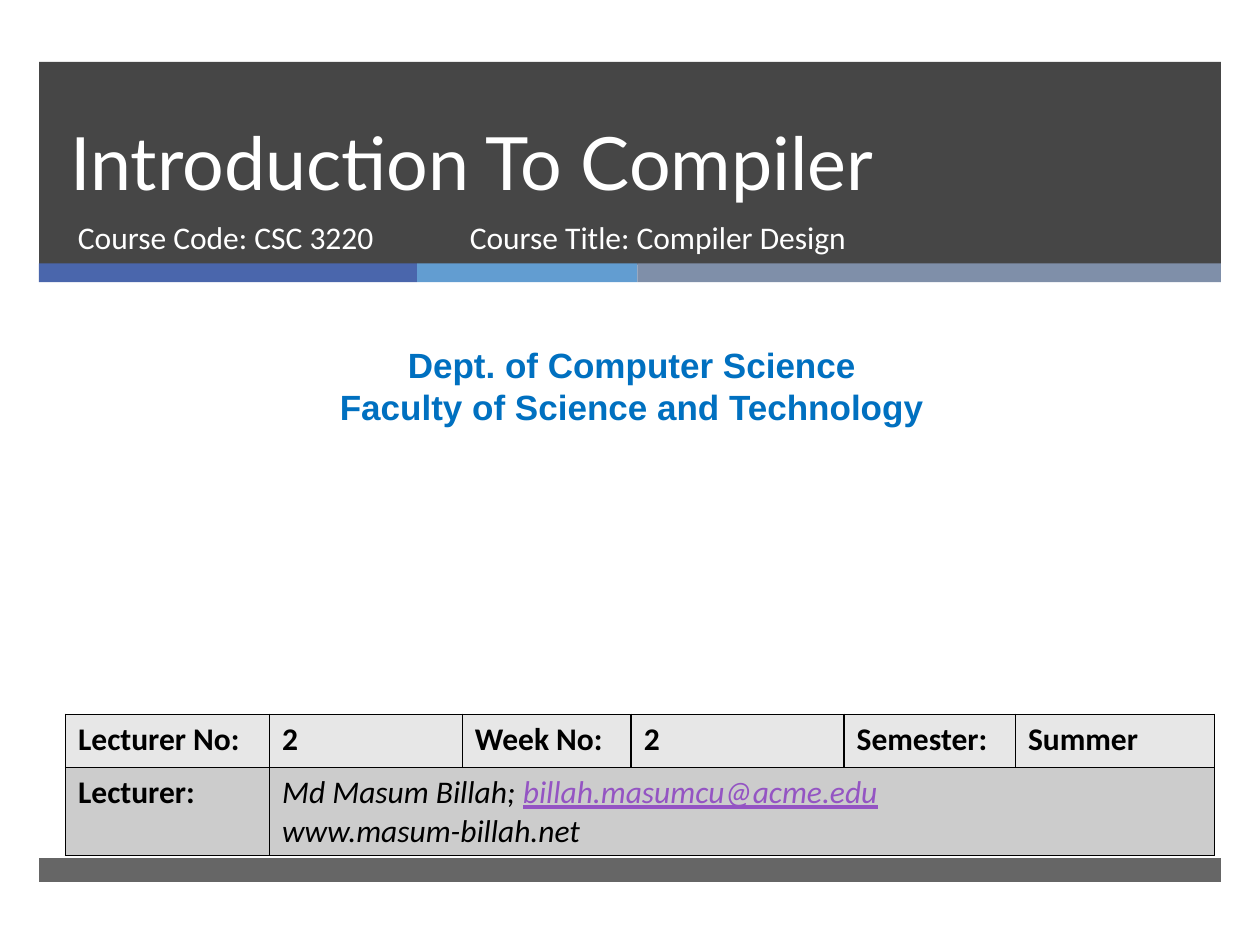
"""Build the title slide of a compiler course."""
from dataclasses import dataclass
from itertools import accumulate

from lxml import etree
from pptx import Presentation
from pptx.dml.color import RGBColor
from pptx.enum.shapes import MSO_SHAPE
from pptx.enum.text import MSO_ANCHOR, PP_ALIGN
from pptx.oxml.ns import qn
from pptx.util import Inches, Pt

RECT = MSO_SHAPE.RECTANGLE
TOP, BOTTOM = MSO_ANCHOR.TOP, MSO_ANCHOR.BOTTOM
LEFT, CENTER = PP_ALIGN.LEFT, PP_ALIGN.CENTER
WIDE, HIGH = Inches(10), Inches(7.5)
COL, ROW = WIDE / 100, HIGH / 75
INK = {
    "dark": "262626", "navy": "4A66AC", "sky": "629DD1", "slate": "7F8FA9",
    "white": "FFFFFF", "blue": "0070C0", "black": "000000",
    "link": "9454C3", "pale": "E7E7E7", "grey": "CCCCCC",
}
EDGE, SPAN = 3.1, 93.8
STRIPS = {"navy": 30, "sky": 17.5, "slate": 46.3}
WIDTHS = (16.2, 15.3, 13.4, 16.9, 13.6, 15.8)
HEIGHTS = (4.2, 7)
HEAD = ("Lecturer No:", "2", "Week No:", "2", "Semester:", "Summer")


@dataclass
class Box:
    """A place on the grid, in columns and rows."""
    x: float
    y: float
    w: float
    h: float

    def emu(self) -> tuple[int, ...]:
        """Give left, top, width and height as slide lengths."""
        return (round(self.x * COL), round(self.y * ROW),
                round(self.w * COL), round(self.h * ROW))


@dataclass
class Bar:
    """A filled band."""
    box: Box
    ink: str
    alpha: int = 100


@dataclass
class Label:
    """A text box with one style."""
    box: Box
    text: str
    size: int = 18
    face: str = "Calibri"
    ink: str = "white"
    bold: bool = False
    align: PP_ALIGN = LEFT
    anchor: MSO_ANCHOR = TOP
    lead: int | None = None


BARS = [
    Bar(Box(EDGE, 4.9, SPAN, 16.1), "dark", 85),
    *(Bar(Box(end - wide, 20.9, wide, 1.5), ink)
      for (ink, wide), end in zip(STRIPS.items(),
                                  list(accumulate(STRIPS.values(), initial=EDGE))[1:])),
    Bar(Box(EDGE, 68.1, SPAN, 1.9), "dark", 70),
]
LABELS = [
    Label(Box(4.6, 4.9, 85.4, 11.9), "Introduction To Compiler", 42, "Lato",
          anchor=BOTTOM, lead=46),
    Label(Box(5.2, 16.8, 30.5, 5.3), "Course Code: CSC 3220"),
    Label(Box(0.8, 26.8, 98.7, 7.7),
          "Dept. of Computer Science\nFaculty of Science and Technology",
          20, "Arial", "blue", True, CENTER),
    Label(Box(36.3, 16.8, 45.5, 5.3), "Course Title: Compiler Design"),
]


def tint(ink: str) -> RGBColor:
    """Look up a colour."""
    return RGBColor.from_string(INK[ink])


def style(run, size: int, face: str, ink: str, bold: bool) -> None:
    """Set the font of a run."""
    font = run.font
    font.size, font.name, font.bold = Pt(size), face, bold
    font.color.rgb = tint(ink)


def draw_bar(slide, bar: Bar) -> None:
    """Draw a filled band."""
    shape = slide.shapes.add_shape(RECT, *bar.box.emu())
    shape.shadow.inherit = False
    shape.line.fill.background()
    shape.fill.solid()
    shape.fill.fore_color.rgb = tint(bar.ink)
    if bar.alpha < 100:
        color = shape.fill._xPr.find(".//" + qn("a:srgbClr"))
        etree.SubElement(color, qn("a:alpha"), val=str(bar.alpha * 1000))


def draw_label(slide, label: Label) -> None:
    """Draw a text box."""
    frame = slide.shapes.add_textbox(*label.box.emu()).text_frame
    frame.word_wrap = True
    frame.vertical_anchor = label.anchor
    frame.text = label.text
    for para in frame.paragraphs:
        para.alignment = label.align
        if label.lead:
            para.line_spacing = Pt(label.lead)
        for run in para.runs:
            style(run, label.size, label.face, label.ink, label.bold)


def dress(cell, ink: str) -> None:
    """Give a cell its borders and fill."""
    props = cell._tc.get_or_add_tcPr()
    for side in ("lnL", "lnR", "lnT", "lnB"):
        line = etree.SubElement(props, qn(f"a:{side}"), w=str(Pt(1)))
        fill = etree.SubElement(line, qn("a:solidFill"))
        etree.SubElement(fill, qn("a:srgbClr"), val=INK["black"])
    cell.fill.solid()
    cell.fill.fore_color.rgb = tint(ink)


def draw_table(slide) -> None:
    """Draw the table of lecture facts."""
    box = Box(5.2, 56.7, sum(WIDTHS), sum(HEIGHTS))
    table = slide.shapes.add_table(len(HEIGHTS), len(WIDTHS), *box.emu()).table
    for col, wide in zip(table.columns, WIDTHS):
        col.width = round(wide * COL)
    for row, high, ink in zip(table.rows, HEIGHTS, ("pale", "grey")):
        row.height = round(high * ROW)
        for cell in row.cells:
            dress(cell, ink)
    for col, text in enumerate(HEAD):
        table.cell(0, col).text = text
    table.cell(1, 0).text = "Lecturer:"
    who = table.cell(1, 1)
    who.merge(table.cell(1, len(WIDTHS) - 1))
    who.text = "Md Masum Billah; \nwww.masum-billah.net"
    mail = who.text_frame.paragraphs[0].add_run()
    mail.text = "billah.masumcu@acme.edu"
    for cell in table.iter_cells():
        for para in cell.text_frame.paragraphs:
            for run in para.runs:
                style(run, 18, "Calibri", "black", True)
    for para in who.text_frame.paragraphs:
        for run in para.runs:
            run.font.bold, run.font.italic = False, True
    mail.font.underline = True
    mail.font.color.rgb = tint("link")


def main() -> None:
    """Build and save the slide."""
    deck = Presentation()
    deck.slide_width, deck.slide_height = WIDE, HIGH
    slide = deck.slides.add_slide(deck.slide_layouts[6])
    for bar in BARS:
        draw_bar(slide, bar)
    for label in LABELS:
        draw_label(slide, label)
    draw_table(slide)
    deck.save("out.pptx")


if __name__ == "__main__":
    main()
